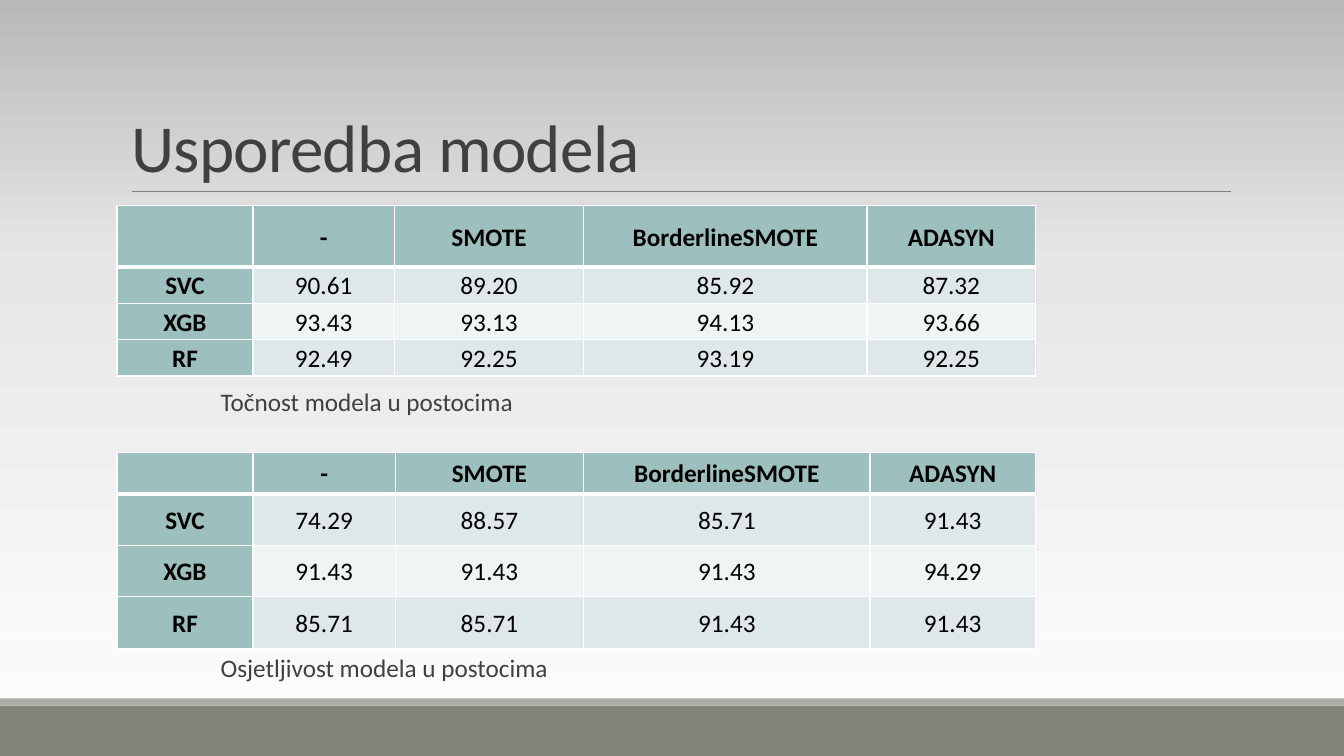
from copy import deepcopy

from lxml.etree import SubElement
from pptx import Presentation
from pptx.dml.color import RGBColor
from pptx.enum.shapes import MSO_CONNECTOR as CONNECTOR, MSO_SHAPE as SHAPE
from pptx.enum.text import MSO_ANCHOR as ANCHOR, MSO_AUTO_SIZE as AUTO_SIZE, PP_ALIGN as ALIGN
from pptx.oxml.ns import qn
from pptx.util import Inches, Pt

WIDTH, HEIGHT = 13.33, 7.5
TABLE_LEFT, CAPTION_LEFT = 1.16, 2.09
HEADER, BANDS = "9DBFBE", ("DFE8E8", "EFF4F4")
TEXT, BLACK, WHITE = "404040", "000000", "FFFFFF"
BACKGROUND = ((0, "B9B9B9"), (0.35, "E7E7E7"), (1, "FEFEFE"))
METHODS = ("", "-", "SMOTE", "BorderlineSMOTE", "ADASYN")
ACCURACY = (
    METHODS,
    ("SVC", "90.61", "89.20", "85.92", "87.32"),
    ("XGB", "93.43", "93.13", "94.13", "93.66"),
    ("RF", "92.49", "92.25", "93.19", "92.25"),
)
SENSITIVITY = (
    METHODS,
    ("SVC", "74.29", "88.57", "85.71", "91.43"),
    ("XGB", "91.43", "91.43", "91.43", "94.29"),
    ("RF", "85.71", "85.71", "91.43", "91.43"),
)


def color(value):
    """Turn a hex string into a colour."""
    return RGBColor.from_string(value)


def box(*lengths):
    """Convert lengths in inches for a position or size."""
    return [Inches(length) for length in lengths]


def format_font(font, size, value, bold=False):
    """Apply the slide's typeface with a size, colour and weight."""
    font.name, font.size, font.bold = "Calibri", Pt(size), bold
    font.color.rgb = color(value)


def set_background(slide):
    """Fill the background with a vertical three-stop gradient."""
    fill = slide.background.fill
    fill.gradient()
    fill.gradient_angle = 270
    stop_list = next(slide.element.iter(qn("a:gsLst")))
    stop_list.append(deepcopy(stop_list[0]))
    for stop, (position, value) in zip(fill.gradient_stops, BACKGROUND):
        stop.position = position
        stop.color.rgb = color(value)


def add_band(slide, top, height, value):
    """Add a plain band across the full slide width."""
    shape = slide.shapes.add_shape(SHAPE.RECTANGLE, *box(0, top, WIDTH, height))
    shape.shadow.inherit = False
    shape.fill.solid()
    shape.fill.fore_color.rgb = color(value)
    shape.line.fill.background()


def add_rule(slide, left, right, top):
    """Add the thin line below the title."""
    connector = slide.shapes.add_connector(CONNECTOR.STRAIGHT, *box(left, top, right, top))
    connector.line.color.rgb = color("808080")
    connector.line.width = Pt(0.5)
    SubElement(connector.element.spPr, qn("a:effectLst"))


def set_title(slide, text):
    """Place and format the title placeholder."""
    title = slide.shapes.title
    title.left, title.top, title.width, title.height = box(1.2, 0.31, 11, 1.59)
    frame = title.text_frame
    frame.text = text
    frame.auto_size, frame.vertical_anchor = AUTO_SIZE.NONE, ANCHOR.BOTTOM
    paragraph = frame.paragraphs[0]
    paragraph.alignment, paragraph.line_spacing = ALIGN.LEFT, 0.85
    run = paragraph.runs[0]
    format_font(run.font, 48, TEXT)
    run.font._element.set("spc", "-50")


def add_caption(slide, top, text):
    """Add the caption under a table."""
    shape = slide.shapes.add_textbox(*box(CAPTION_LEFT, top, 5.45, 0.4))
    frame = shape.text_frame
    frame.word_wrap, frame.auto_size = True, AUTO_SIZE.SHAPE_TO_FIT_TEXT
    frame.text = text
    format_font(frame.paragraphs[0].runs[0].font, 18, TEXT)


def add_border(cell, side, width):
    """Draw one white cell edge."""
    properties = cell._tc.get_or_add_tcPr()
    line = SubElement(properties, qn(f"a:{side}"), w=str(Pt(width)))
    fill = SubElement(line, qn("a:solidFill"))
    SubElement(fill, qn("a:srgbClr"), val=WHITE)


def format_cell(cell, text, row, column):
    """Write one table cell with its borders, fill and text format."""
    is_heading = row == 0 or column == 0
    widths = {"lnL": 1, "lnR": 1, "lnT": 3 if row == 1 else 1, "lnB": 3 if row == 0 else 1}
    for side, width in widths.items():
        add_border(cell, side, width)
    cell.fill.solid()
    cell.fill.fore_color.rgb = color(HEADER if is_heading else BANDS[(row - 1) % 2])
    cell.vertical_anchor = ANCHOR.MIDDLE
    cell.margin_left = cell.margin_right = Inches(0.07)
    cell.margin_top = cell.margin_bottom = 0
    cell.text = text
    paragraph = cell.text_frame.paragraphs[0]
    paragraph.alignment, paragraph.line_spacing = ALIGN.CENTER, 1.07
    for run in paragraph.runs:
        format_font(run.font, 18, BLACK, is_heading)


def add_score_table(slide, top, scores, widths, header_height, row_height):
    """Add a table of model scores."""
    heights = [header_height] + [row_height] * (len(scores) - 1)
    size = box(TABLE_LEFT, top, sum(widths), sum(heights))
    table = slide.shapes.add_table(len(scores), len(widths), *size).table
    for column, width in zip(table.columns, widths):
        column.width = Inches(width)
    for row, height in zip(table.rows, heights):
        row.height = Inches(height)
    for row, values in enumerate(scores):
        for column, text in enumerate(values):
            format_cell(table.cell(row, column), text, row, column)


def main():
    """Build and save the model comparison slide."""
    presentation = Presentation()
    presentation.slide_width, presentation.slide_height = box(WIDTH, HEIGHT)
    slide = presentation.slides.add_slide(presentation.slide_layouts[5])
    set_background(slide)
    add_band(slide, 7, 0.5, "82847C")
    add_band(slide, 6.93, 0.07, "ACADA8")
    add_rule(slide, 1.31, 12.21, 1.9)
    set_title(slide, "Usporedba modela")
    add_caption(slide, 6.42, "Osjetljivost modela u postocima")
    add_caption(slide, 3.78, "Točnost modela u postocima")
    add_score_table(slide, 2.04, ACCURACY, (1.35, 1.4, 1.88, 2.81, 1.67), 0.61, 0.36)
    add_score_table(slide, 4.49, SENSITIVITY, (1.35, 1.41, 1.87, 2.84, 1.64), 0.41, 0.51)
    presentation.save("out.pptx")


if __name__ == "__main__":
    main()
